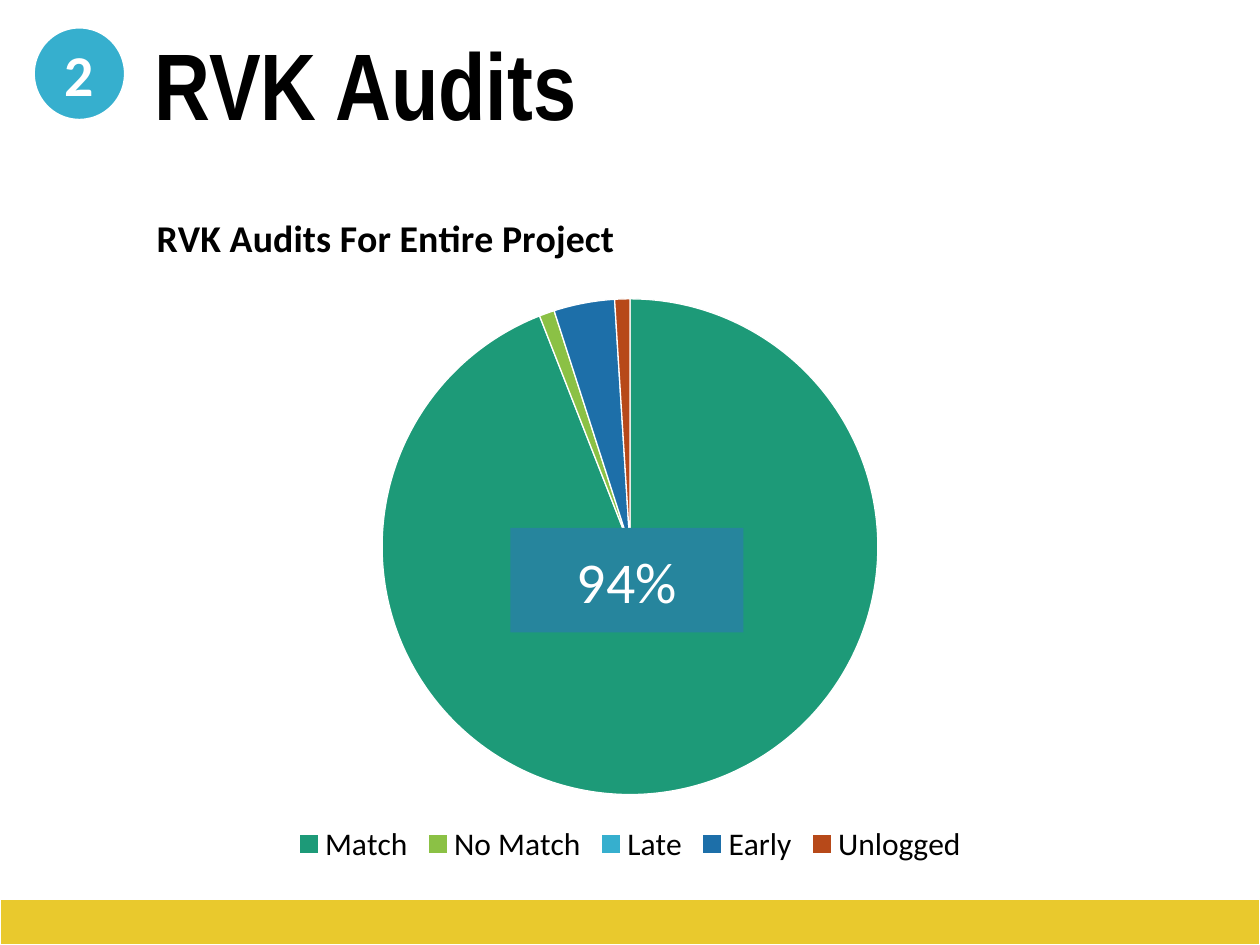
from dataclasses import dataclass

from lxml.etree import SubElement
from pptx import Presentation
from pptx.chart.data import CategoryChartData
from pptx.dml.color import RGBColor
from pptx.enum.chart import XL_CHART_TYPE, XL_LEGEND_POSITION
from pptx.enum.shapes import MSO_SHAPE
from pptx.enum.text import MSO_ANCHOR, PP_ALIGN
from pptx.oxml.ns import qn
from pptx.util import Inches, Pt


@dataclass(frozen=True)
class Theme:
    body: str = "Calibri"
    head: str = "Arial Narrow"
    black: str = "000000"
    white: str = "FFFFFF"
    teal: str = "26859D"
    sky: str = "36AFCE"
    gold: str = "E9C92D"
    slices: tuple = ("1D9A78", "8BC145", "36AFCE", "1D6FA9", "B74919")
    title: float = 54
    label: float = 33
    chart: float = 18
    chart_title: float = 21.6


THEME = Theme()
AUDITS = {"Match": 95, "No Match": 1, "Late": 0, "Early": 4, "Unlogged": 1}


def style(font, name, size, color, bold=False):
    font.name, font.size, font.bold = name, Pt(size), bold
    font.color.rgb = RGBColor.from_string(color)


def add_block(slide, kind, box, fill, text="", bold=False, line=None):
    """Add a filled shape, with centred white text if any is given."""
    shape = slide.shapes.add_shape(kind, *map(Inches, box))
    shape.shadow.inherit = False
    shape.fill.solid()
    shape.fill.fore_color.rgb = RGBColor.from_string(fill)
    if line:
        shape.line.color.rgb = RGBColor.from_string(line)
        shape.line.width = Pt(1)
    else:
        shape.line.fill.background()
    if text:
        frame = shape.text_frame
        frame.vertical_anchor = MSO_ANCHOR.MIDDLE
        para = frame.paragraphs[0]
        para.text, para.alignment = text, PP_ALIGN.CENTER
        style(para.font, THEME.body, THEME.label, THEME.white, bold)


def add_title(slide, box, text):
    frame = slide.shapes.add_textbox(*map(Inches, box)).text_frame
    frame.word_wrap = True
    para = frame.paragraphs[0]
    para.text = text
    style(para.font, THEME.head, THEME.title, THEME.black, True)


def set_layout(parent, index, **places):
    """Fix a chart part at fractions of the chart's size."""
    for old in parent.findall(qn("c:layout")):
        parent.remove(old)
    layout = SubElement(parent, qn("c:layout"))
    parent.insert(index, layout)
    manual = SubElement(layout, qn("c:manualLayout"))
    if "w" in places:
        SubElement(manual, qn("c:layoutTarget")).set("val", "inner")
    for axis in "xy":
        SubElement(manual, qn(f"c:{axis}Mode")).set("val", "edge")
    for key, value in places.items():
        SubElement(manual, qn(f"c:{key}")).set("val", str(value))


def add_pie(slide, box, title, values):
    data = CategoryChartData()
    data.categories = list(values)
    data.add_series("Series 1", list(values.values()))
    chart = slide.shapes.add_chart(
        XL_CHART_TYPE.PIE, *map(Inches, box), data).chart
    style(chart.font, THEME.body, THEME.chart, THEME.black)

    chart.has_title = True
    para = chart.chart_title.text_frame.paragraphs[0]
    para.text = title
    style(para.font, THEME.body, THEME.chart_title, THEME.black, True)
    set_layout(chart.chart_title._element, 1, x=0.02, y=0.02)

    chart.has_legend = True
    chart.legend.position = XL_LEGEND_POSITION.BOTTOM
    chart.legend.include_in_layout = False

    plot = chart.plots[0]
    plot.vary_by_categories = True
    for index, color in enumerate(THEME.slices):
        look = plot.series[0].points[index].format
        look.fill.solid()
        look.fill.fore_color.rgb = RGBColor.from_string(color)
        look.line.color.rgb = RGBColor.from_string(THEME.white)
        look.line.width = Pt(0.75)
    area = chart._chartSpace.find(".//" + qn("c:plotArea"))
    set_layout(area, 0, x=0.25, y=0.16, w=0.5, h=0.73)


def main():
    deck = Presentation()
    deck.slide_width, deck.slide_height = Inches(10), Inches(7.5)
    slide = deck.slides.add_slide(deck.slide_layouts[6])
    add_pie(slide, (1.03, 1.51, 7.94, 5.39),
            "RVK Audits For Entire Project", AUDITS)
    add_block(slide, MSO_SHAPE.RECTANGLE, (4.05, 4.19, 1.85, 0.83),
              THEME.teal, "94%")
    add_block(slide, MSO_SHAPE.RECTANGLE, (0, 7.14, 10, 0.36),
              THEME.gold, line=THEME.white)
    add_block(slide, MSO_SHAPE.OVAL, (0.27, 0.22, 0.72, 0.73),
              THEME.sky, "2", bold=True, line=THEME.white)
    add_title(slide, (1.13, 0.16, 6.82, 1.01), "RVK Audits")
    deck.save("out.pptx")


if __name__ == "__main__":
    main()
